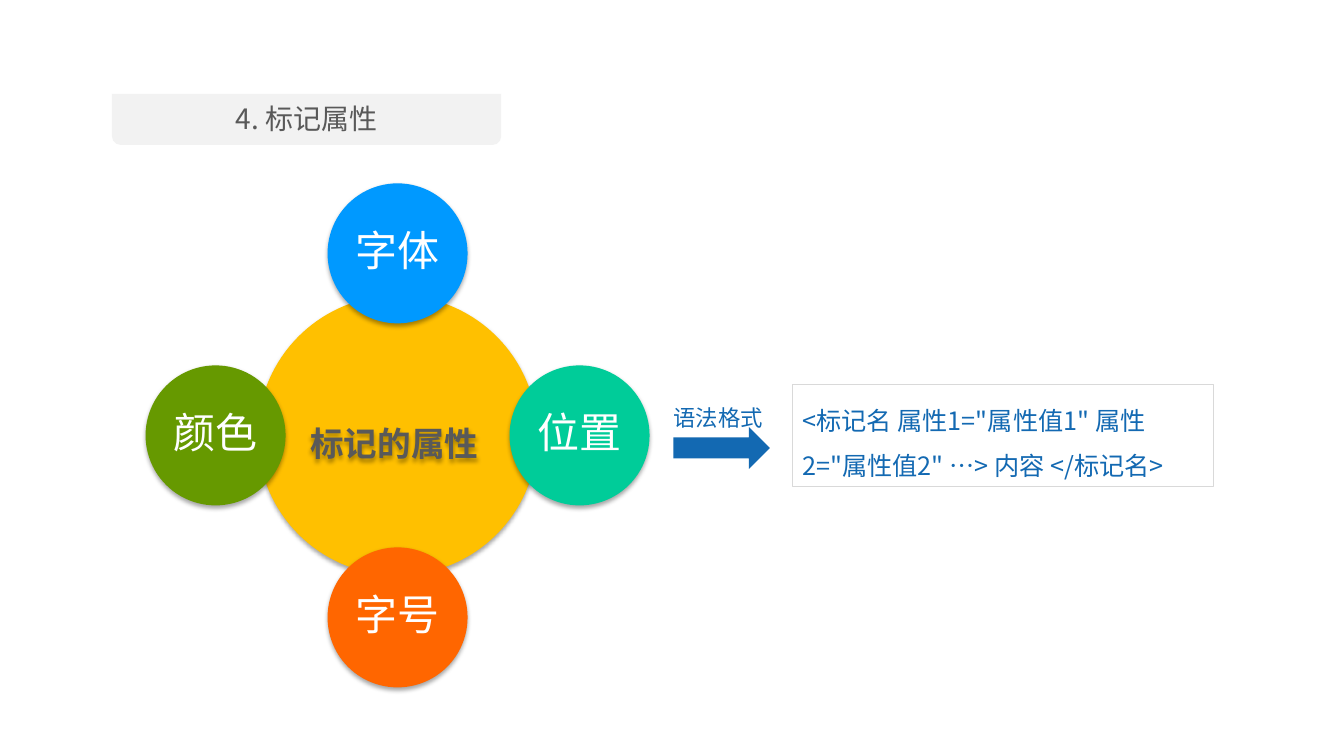
from lxml import etree
from pptx import Presentation
from pptx import util as u
from pptx.dml.color import RGBColor
from pptx.enum import shapes, text
from pptx.oxml import ns

FONT = "Noto Sans CJK SC"
COLOURS = {
    "panel": "F2F2F2", "grey": "595959", "core": "FFC000", "font": "0099FF",
    "position": "00CC99", "size": "FF6600", "colour": "669900",
    "blue": "1369B2", "white": "FFFFFF", "border": "D9D9D9", "shadow": "000000",
}
PETALS = [
    ("字体", "font", 0, -1),
    ("位置", "position", 1, 0),
    ("字号", "size", 0, 1),
    ("颜色", "colour", -1, 0),
]


def rgb(name):
    return RGBColor.from_string(COLOURS[name])


def apply(target, values):
    for name, value in values.items():
        setattr(target, name, value)


def place(slide, kind, box, fill, border=None):
    part = slide.shapes.add_shape(kind, *map(u.Pt, box))
    part.shadow.inherit = False
    part.fill.solid()
    part.fill.fore_color.rgb = rgb(fill)
    if border:
        part.line.color.rgb = rgb(border)
        part.line.width = u.Pt(0.75)
    else:
        part.line.fill.background()
    return part


def write(part, words, size, colour, frame=None, paragraph=None, bold=False):
    apply(part.text_frame, {"word_wrap": True, **(frame or {})})
    line = part.text_frame.paragraphs[0]
    apply(line, {"alignment": text.PP_ALIGN.LEFT, **(paragraph or {})})
    run = line.add_run()
    run.text = words
    apply(run.font, {"size": u.Pt(size), "name": FONT, "bold": bold})
    run.font.color.rgb = rgb(colour)
    east_asian = etree.SubElement(run.font._element, ns.qn("a:ea"))
    east_asian.set("typeface", FONT)


def cast_shadow(part):
    part.shadow.inherit = False
    effects = part._element.spPr.find(ns.qn("a:effectLst"))
    shadow = etree.SubElement(effects, ns.qn("a:outerShdw"), blurRad="40000",
                              dist="23000", dir="5400000", rotWithShape="0")
    tint = etree.SubElement(shadow, ns.qn("a:srgbClr"), val=COLOURS["shadow"])
    etree.SubElement(tint, ns.qn("a:alpha"), val="35000")


def add_heading(slide, left, top, width, height):
    panel = place(slide, shapes.MSO_SHAPE.ROUND_2_SAME_RECTANGLE,
                  (left, top, width, height), "panel")
    panel.rotation = 180
    heading = slide.shapes.add_textbox(*map(u.Pt, (left, top + 2, width, 31.5)))
    write(heading, "4. 标记属性", 20, "grey",
          {"auto_size": text.MSO_AUTO_SIZE.SHAPE_TO_FIT_TEXT},
          {"alignment": text.PP_ALIGN.CENTER})


def add_attribute_wheel(slide, left, top, side):
    petal = side * 100 / 360
    reach = (side - petal) / 2
    core = side * 200 / 360
    centre_x, centre_y = left + side / 2, top + side / 2
    hub = place(slide, shapes.MSO_SHAPE.OVAL,
                (centre_x - core / 2, centre_y - core / 2, core, core), "core")
    cast_shadow(hub)
    label = slide.shapes.add_textbox(
        *map(u.Pt, (centre_x - 69.5, centre_y - 24.5, 142.5, 46)))
    cast_shadow(label)
    write(label, "标记的属性", 24, "grey",
          {"vertical_anchor": text.MSO_ANCHOR.MIDDLE,
           "auto_size": text.MSO_AUTO_SIZE.SHAPE_TO_FIT_TEXT},
          {"line_spacing": 1.5}, bold=True)
    margins = dict.fromkeys(
        ("margin_left", "margin_top", "margin_right", "margin_bottom"), u.Pt(4.8))
    for words, colour, across, down in PETALS:
        attribute = place(slide, shapes.MSO_SHAPE.OVAL,
                          (centre_x + across * reach - petal / 2,
                           centre_y + down * reach - petal / 2, petal, petal), colour)
        cast_shadow(attribute)
        write(attribute, words, 30, "white",
              {"vertical_anchor": text.MSO_ANCHOR.MIDDLE, **margins},
              {"alignment": text.PP_ALIGN.CENTER, "line_spacing": 0.9,
               "space_after": u.Pt(10.5)})


def add_syntax_arrow(slide, left, top, width, height):
    place(slide, shapes.MSO_SHAPE.RIGHT_ARROW,
          (left, top + height - 30, width, 30), "blue")
    caption = slide.shapes.add_textbox(*map(u.Pt, (left - 7, top, 79, 26.5)))
    write(caption, "语法格式", 16, "blue",
          {"word_wrap": False, "auto_size": text.MSO_AUTO_SIZE.SHAPE_TO_FIT_TEXT})


def add_syntax(slide, *box):
    syntax = place(slide, shapes.MSO_SHAPE.RECTANGLE, box, "white", "border")
    write(syntax, '<标记名 属性1="属性值1" 属性2="属性值2" …> 内容 </标记名>', 18, "blue",
          {"vertical_anchor": text.MSO_ANCHOR.TOP,
           "auto_size": text.MSO_AUTO_SIZE.SHAPE_TO_FIT_TEXT},
          {"line_spacing": 1.5})


def main():
    deck = Presentation()
    apply(deck, {"slide_width": u.Pt(960), "slide_height": u.Pt(540)})
    slide = deck.slides.add_slide(deck.slide_layouts[6])
    add_heading(slide, 80, 67, 278, 36.5)
    add_attribute_wheel(slide, 104, 131, 360)
    add_syntax_arrow(slide, 481, 285, 69, 50)
    add_syntax(slide, 566, 275, 300.5, 72.5)
    deck.save("out.pptx")


if __name__ == "__main__":
    main()
